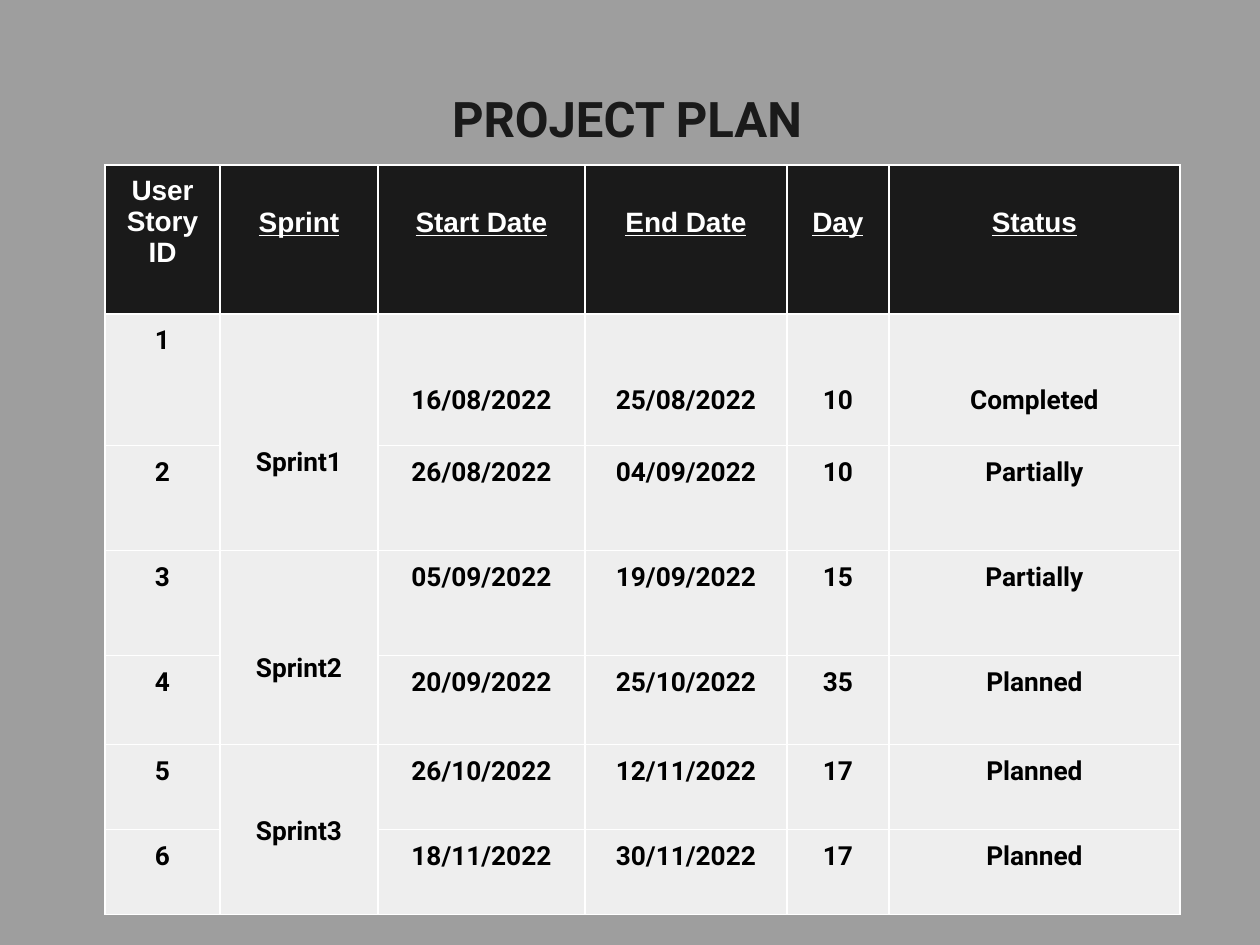
from pptx import Presentation
from pptx.dml.color import RGBColor
from pptx.enum.text import PP_ALIGN
from pptx.oxml import parse_xml
from pptx.oxml.ns import nsdecls
from pptx.util import Pt

SCALE = 7257.14  # EMU per px, 126 px to the inch

GREY = RGBColor(0x9E, 0x9E, 0x9E)
DARK = RGBColor(0x1A, 0x1A, 0x1A)
LIGHT = RGBColor(0xEE, 0xEE, 0xEE)
WHITE = RGBColor(0xFF, 0xFF, 0xFF)
BLACK = RGBColor(0, 0, 0)

# Content
TITLE = "PROJECT PLAN"
HEADERS = ["User Story ID", "Sprint", "Start Date", "End Date", "Day", "Status"]
STORIES = [
    ("1", "Sprint1", "16/08/2022", "25/08/2022", "10", "Completed"),
    ("2", "", "26/08/2022", "04/09/2022", "10", "Partially"),
    ("3", "Sprint2", "05/09/2022", "19/09/2022", "15", "Partially"),
    ("4", "", "20/09/2022", "25/10/2022", "35", "Planned"),
    ("5", "Sprint3", "26/10/2022", "12/11/2022", "17", "Planned"),
    ("6", "", "18/11/2022", "30/11/2022", "17", "Planned"),
]

# Layout in px
TABLE_LEFT, TABLE_TOP = 105, 165
COLUMN_WIDTHS = [115, 158, 207, 202, 102, 291]
ROW_HEIGHTS = [149, 132, 105, 105, 89, 85, 85]
SPRINT_COLUMN = 1
SPRINT_INSETS = {1: 133, 3: 102, 5: 71}  # first row of each sprint: top inset
BODY_INSET, FIRST_ROW_INSET = 11, 71
ID_HEADER_INSET, HEADER_INSET = 10, 42
ID_HEADER_SIDE = 17


def px(value):
    return round(value * SCALE)


def write_text(frame, text, *, size, color, font="Roboto", underline=False,
               align=PP_ALIGN.CENTER, top=0, side=0):
    frame.word_wrap = True
    frame.margin_left = frame.margin_right = px(side)
    frame.margin_top, frame.margin_bottom = px(top), 0
    paragraph = frame.paragraphs[0]
    paragraph.alignment = align
    run = paragraph.add_run()
    run.text = text
    run.font.name, run.font.size = font, Pt(size)
    run.font.bold, run.font.underline = True, underline
    run.font.color.rgb = color


def style_cell(cell, fill):
    properties = cell._tc.get_or_add_tcPr()
    for side in ("lnL", "lnR", "lnT", "lnB"):
        properties.append(parse_xml(
            f'<a:{side} {nsdecls("a")} w="{Pt(0.75)}"><a:solidFill>'
            f'<a:srgbClr val="{WHITE}"/></a:solidFill></a:{side}>'))
    cell.fill.solid()
    cell.fill.fore_color.rgb = fill


def body_inset(row, column):
    if column == SPRINT_COLUMN:
        return SPRINT_INSETS[row]
    return FIRST_ROW_INSET if row == 1 and column > 0 else BODY_INSET


def add_plan_table(slide):
    shape = slide.shapes.add_table(
        len(ROW_HEIGHTS), len(COLUMN_WIDTHS), px(TABLE_LEFT), px(TABLE_TOP),
        px(sum(COLUMN_WIDTHS)), px(sum(ROW_HEIGHTS)))
    table = shape.table
    for column, width in zip(table.columns, COLUMN_WIDTHS):
        column.width = px(width)
    for row, height in zip(table.rows, ROW_HEIGHTS):
        row.height = px(height)

    # Each sprint spans two stories
    for row in SPRINT_INSETS:
        table.cell(row, SPRINT_COLUMN).merge(table.cell(row + 1, SPRINT_COLUMN))

    # Header row
    for column, text in enumerate(HEADERS):
        cell = table.cell(0, column)
        style_cell(cell, DARK)
        is_id = column == 0
        write_text(cell.text_frame, text, size=16, color=WHITE, font="Arial",
                   underline=not is_id)
        cell.margin_top = px(ID_HEADER_INSET if is_id else HEADER_INSET)
        cell.margin_left = cell.margin_right = px(ID_HEADER_SIDE if is_id else 0)
        cell.margin_bottom = 0

    # Story rows
    for row, story in enumerate(STORIES, start=1):
        for column, text in enumerate(story):
            cell = table.cell(row, column)
            style_cell(cell, LIGHT)
            cell.margin_left = cell.margin_right = cell.margin_bottom = 0
            cell.margin_top = 0
            if text:
                write_text(cell.text_frame, text, size=15, color=BLACK)
                cell.margin_top = px(body_inset(row, column))


def main():
    presentation = Presentation()
    presentation.slide_width, presentation.slide_height = px(1260), px(945)
    slide = presentation.slides.add_slide(presentation.slide_layouts[6])

    # Background
    slide.background.fill.solid()
    slide.background.fill.fore_color.rgb = GREY

    # Title
    title = slide.shapes.add_textbox(px(451), px(83), px(359), px(62))
    write_text(title.text_frame, TITLE, size=28, color=DARK,
               align=PP_ALIGN.LEFT, top=6, side=1)

    add_plan_table(slide)
    presentation.save("out.pptx")


if __name__ == "__main__":
    main()
